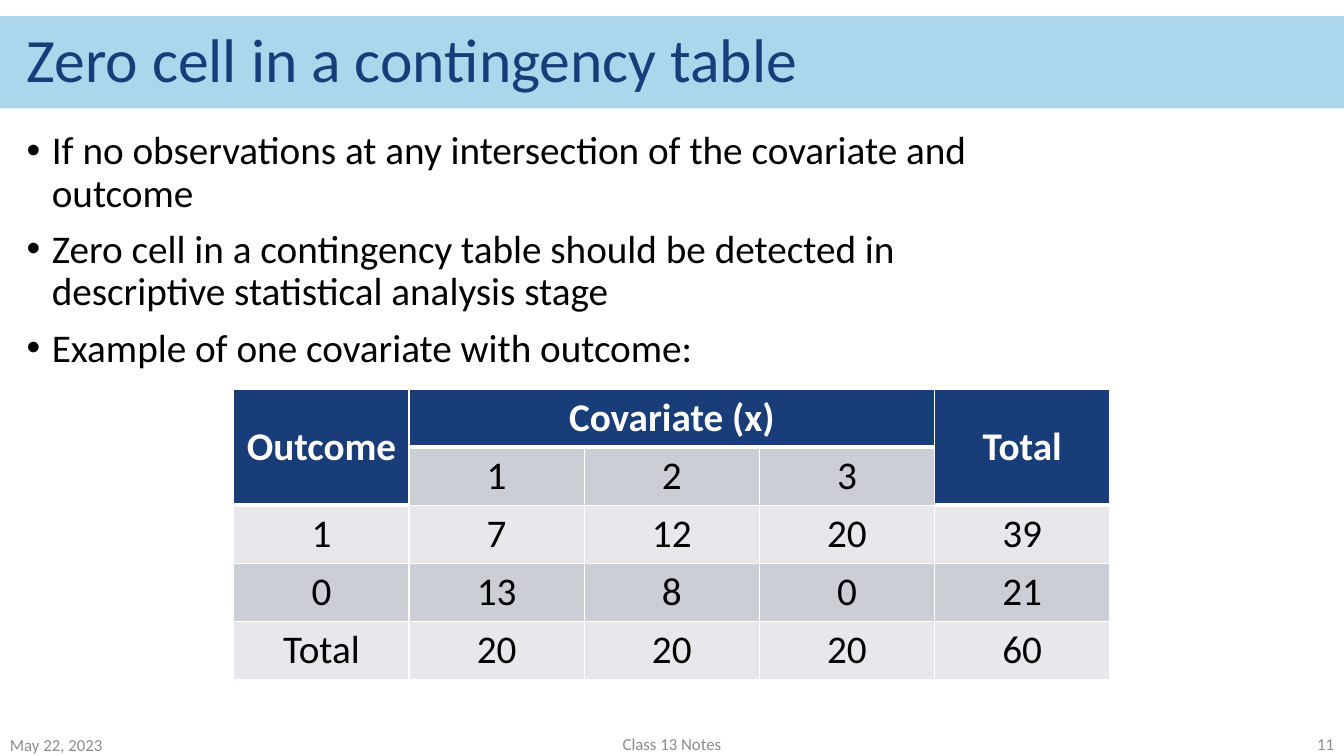
"""Build a slide on zero cells in a contingency table."""
from dataclasses import dataclass
from typing import Any

from lxml.etree import SubElement
from pptx import Presentation
from pptx.dml.color import RGBColor
from pptx.enum.shapes import MSO_SHAPE
from pptx.enum.text import MSO_ANCHOR, MSO_AUTO_SIZE, PP_ALIGN
from pptx.oxml import parse_xml
from pptx.oxml.ns import nsdecls, qn
from pptx.util import Emu, Inches, Pt

WIDTH, HEIGHT = Inches(13.333), Inches(7.5)
GRID_COLUMNS, GRID_ROWS = 80, 45
COLORS = {
    "band": "ACD6EB", "navy": "193D78", "gray": "8C8C8C", "black": "000000",
    "white": "FFFFFF", "dark_row": "CCCED6", "light_row": "E8E8EC",
}


@dataclass(frozen=True)
class Area:
    """A rectangle in grid columns and rows."""
    column: float
    row: float
    columns: float
    rows: float

    def box(self) -> tuple[Emu, Emu, Emu, Emu]:
        """Return left, top, width and height on the slide."""
        across, down = WIDTH / GRID_COLUMNS, HEIGHT / GRID_ROWS
        return (Emu(round(self.column * across)), Emu(round(self.row * down)),
                Emu(round(self.columns * across)), Emu(round(self.rows * down)))


@dataclass(frozen=True)
class Style:
    """The look of a paragraph."""
    size: int
    color: str
    bold: bool = False
    alignment: PP_ALIGN = PP_ALIGN.LEFT
    line_spacing: float = 1.0
    space_before: int = 0
    bullet: bool = False


@dataclass(frozen=True)
class TextBlock:
    """Paragraphs of one style in an area."""
    area: Area
    lines: tuple[str, ...]
    style: Style
    anchor: MSO_ANCHOR = MSO_ANCHOR.MIDDLE


@dataclass(frozen=True)
class Header:
    """A header cell and the table cells it spans."""
    row: int
    column: int
    last_row: int
    last_column: int

    def covers(self, row: int, column: int) -> bool:
        """Tell whether a table position lies in this header."""
        return (self.row <= row <= self.last_row
                and self.column <= column <= self.last_column)


BAND = Area(0, 0.96, 80, 5.5)
TITLE = TextBlock(Area(1, 0.96, 78, 5.5), ("Zero cell in a contingency table",),
                  Style(44, "navy", line_spacing=0.9))
BLOCKS = (
    TextBlock(Area(0, 43.62, 18, 1.38), ("May 22, 2023",), Style(12, "gray")),
    TextBlock(Area(26.5, 43.5, 27, 1.5), ("Class 13 Notes",),
              Style(12, "gray", alignment=PP_ALIGN.CENTER)),
    TextBlock(Area(62, 43.5, 18, 1.5), ("11",),
              Style(12, "gray", alignment=PP_ALIGN.RIGHT)),
    TextBlock(Area(1, 7.5, 57.8, 35.5), (
        "If no observations at any intersection of the covariate and outcome",
        "Zero cell in a contingency table should be detected in "
        "descriptive statistical analysis stage",
        "Example of one covariate with outcome:",
    ), Style(28, "black", line_spacing=0.9, space_before=10, bullet=True),
        MSO_ANCHOR.TOP),
)
TABLE = Area(13.92, 23.16, 52.14, 17.1)
HEADERS = (Header(0, 0, 1, 0), Header(0, 1, 0, 3), Header(0, 4, 1, 4))
VALUES = (
    ("Outcome", "Covariate (x)", "", "", "Total"),
    ("", "1", "2", "3", ""),
    ("1", "7", "12", "20", "39"),
    ("0", "13", "8", "0", "21"),
    ("Total", "20", "20", "20", "60"),
)
HEADER_STYLE = Style(28, "white", bold=True, alignment=PP_ALIGN.CENTER)
CELL_STYLE = Style(28, "black", alignment=PP_ALIGN.CENTER)


def set_all(target: Any, values: dict[str, Any]) -> None:
    """Set every named attribute on the target."""
    for name, value in values.items():
        setattr(target, name, value)


def color(name: str) -> RGBColor:
    """Look up a named color."""
    return RGBColor.from_string(COLORS[name])


def write(frame: Any, lines: tuple[str, ...], style: Style) -> None:
    """Write styled paragraphs into a text frame."""
    for index, line in enumerate(lines):
        para = frame.add_paragraph() if index else frame.paragraphs[0]
        set_all(para, {"alignment": style.alignment,
                       "line_spacing": style.line_spacing,
                       "space_before": Pt(style.space_before)})
        span = para.add_run()
        span.text = line
        set_all(span.font, {"name": "Calibri", "size": Pt(style.size),
                            "bold": style.bold})
        span.font.color.rgb = color(style.color)
        if style.bullet:
            properties = para._p.get_or_add_pPr()
            properties.set("marL", str(Inches(0.25)))
            properties.set("indent", str(-Inches(0.25)))
            SubElement(properties, qn("a:buFont"), typeface="Arial")
            SubElement(properties, qn("a:buChar"), char="•")


def fill_block(shape: Any, block: TextBlock) -> None:
    """Place a text shape and write its block."""
    set_all(shape, dict(zip(("left", "top", "width", "height"), block.area.box())))
    set_all(shape.text_frame, {"word_wrap": True, "auto_size": MSO_AUTO_SIZE.NONE,
                               "vertical_anchor": block.anchor})
    write(shape.text_frame, block.lines, block.style)


def add_band(page: Any) -> None:
    """Add the title band behind everything else."""
    band = page.shapes.add_shape(MSO_SHAPE.RECTANGLE, *BAND.box())
    band.shadow.inherit = False
    band.fill.solid()
    band.fill.fore_color.rgb = color("band")
    band.line.fill.background()
    page.shapes._spTree.insert(2, band._element)


def add_borders(cell: Any, top: int, bottom: int) -> None:
    """Draw white borders with the given top and bottom widths."""
    properties = cell._tc.get_or_add_tcPr()
    widths = {"lnL": 1, "lnR": 1, "lnT": top, "lnB": bottom}
    for index, (side, width) in enumerate(widths.items()):
        properties.insert(index, parse_xml(
            f'<a:{side} {nsdecls("a")} w="{Pt(width)}"><a:solidFill>'
            f'<a:srgbClr val="{COLORS["white"]}"/></a:solidFill></a:{side}>'))


def is_header(row: int, column: int) -> bool:
    """Tell whether a table position belongs to a header."""
    return any(header.covers(row, column) for header in HEADERS)


def add_contingency_table(page: Any) -> None:
    """Add the table of outcome by covariate."""
    table = page.shapes.add_table(len(VALUES), len(VALUES[0]), *TABLE.box()).table
    for header in HEADERS:
        table.cell(header.row, header.column).merge(
            table.cell(header.last_row, header.last_column))
    for row, values in enumerate(VALUES):
        for column, value in enumerate(values):
            cell = table.cell(row, column)
            heading = is_header(row, column)
            below_heading = row > 0 and is_header(row - 1, column) and not heading
            shade = "navy" if heading else "dark_row" if row % 2 else "light_row"
            cell.fill.solid()
            cell.fill.fore_color.rgb = color(shade)
            cell.vertical_anchor = MSO_ANCHOR.MIDDLE
            add_borders(cell, 3 if below_heading else 1, 3 if heading else 1)
            if value:
                write(cell.text_frame, (value,),
                      HEADER_STYLE if heading else CELL_STYLE)


def main() -> None:
    """Build and save the deck."""
    deck = Presentation()
    set_all(deck, {"slide_width": WIDTH, "slide_height": HEIGHT})
    page = deck.slides.add_slide(deck.slide_layouts.get_by_name("Title Only"))
    fill_block(page.shapes.title, TITLE)
    add_band(page)
    for block in BLOCKS:
        fill_block(page.shapes.add_textbox(*block.area.box()), block)
    add_contingency_table(page)
    deck.save("out.pptx")


if __name__ == "__main__":
    main()
